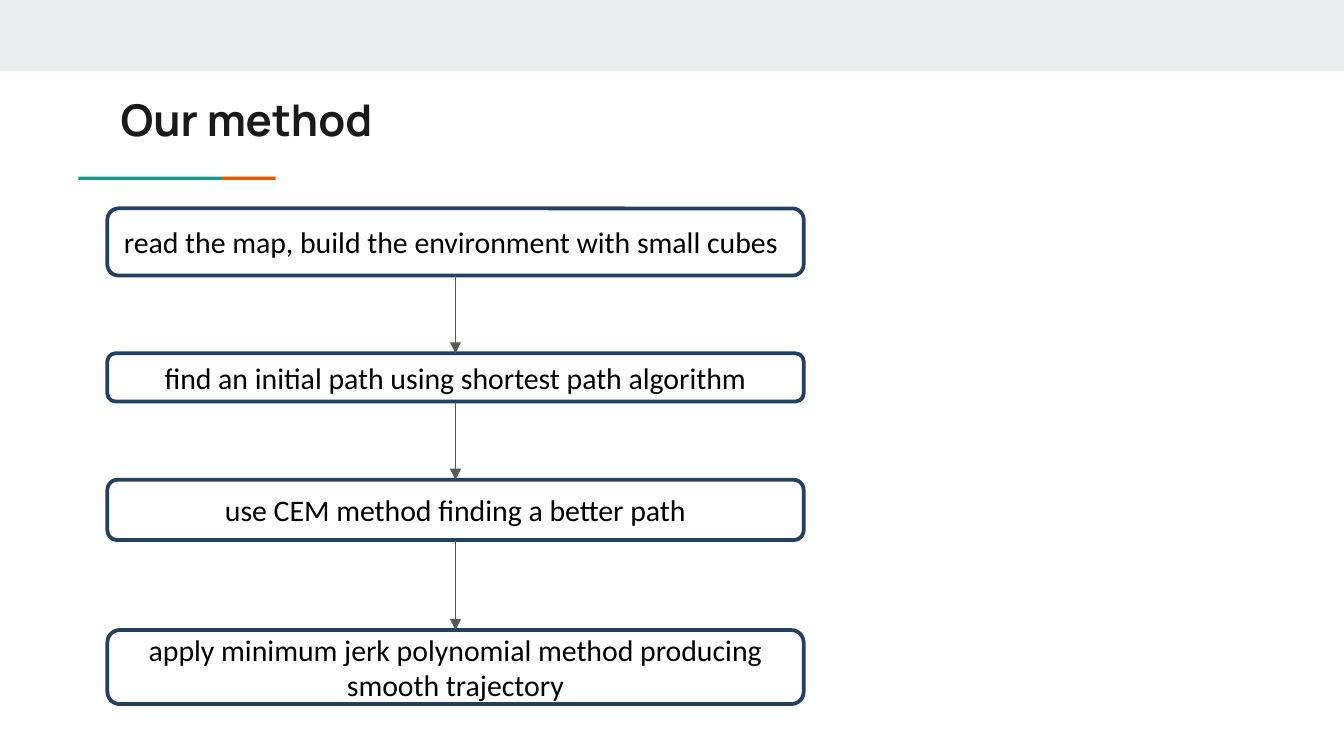
from itertools import pairwise

from lxml import etree
from pptx import Presentation
from pptx.dml.color import RGBColor
from pptx.enum.shapes import MSO_CONNECTOR, MSO_SHAPE
from pptx.enum.text import MSO_ANCHOR, PP_ALIGN
from pptx.oxml.ns import qn
from pptx.util import Cm, Pt

RECTANGLE = MSO_SHAPE.RECTANGLE
ROUNDED = MSO_SHAPE.ROUNDED_RECTANGLE
STRAIGHT = MSO_CONNECTOR.STRAIGHT
MIDDLE = MSO_ANCHOR.MIDDLE
LEFT, CENTER = PP_ALIGN.LEFT, PP_ALIGN.CENTER

BAND_GREY = RGBColor(0xE9, 0xED, 0xEE)
ORANGE = RGBColor(0xEB, 0x56, 0x00)
GREEN = RGBColor(0x1A, 0x99, 0x88)
INK = RGBColor(0x1A, 0x1A, 0x1A)
BLACK = RGBColor(0x00, 0x00, 0x00)
NAVY = RGBColor(0x24, 0x3F, 0x60)
ARROW_GREY = RGBColor(0x57, 0x57, 0x57)

SLIDE_WIDTH, SLIDE_HEIGHT = 25.4, 14.29
CONTENT_LEFT = 2.03
STEP_WIDTH = 13.16
TOP_SITE, BOTTOM_SITE = 0, 2

# text, top, height, alignment
STEPS = [
    ("read the map, build the environment with small cubes", 3.94, 1.27, LEFT),
    ("find an initial path using shortest path algorithm", 6.68, 0.91, CENTER),
    ("use CEM method finding a better path", 9.07, 1.14, CENTER),
    ("apply minimum jerk polynomial method producing smooth trajectory",
     11.91, 1.4, CENTER),
]


class MethodSlide:
    """Holds the style and the slide being filled; lengths are in cm."""

    title_font, title_size = "Manrope", Pt(23.4)
    step_font, step_size = "Calibri", Pt(16)

    def __init__(self, slide):
        self.slide = slide

    def add_bar(self, left, top, width, height, color):
        shape = self.slide.shapes.add_shape(
            RECTANGLE, Cm(left), Cm(top), Cm(width), Cm(height))
        shape.shadow.inherit = False
        shape.fill.solid()
        shape.fill.fore_color.rgb = color
        shape.line.fill.background()

    def add_text(self, frame, text, font, size, color, alignment, bold=False):
        frame.word_wrap = True
        frame.vertical_anchor = MIDDLE
        paragraph = frame.paragraphs[0]
        paragraph.alignment = alignment
        run = paragraph.add_run()
        run.text = text
        run.font.name = font
        run.font.size = size
        run.font.bold = bold
        run.font.color.rgb = color

    def add_title(self, text, top, width, height):
        box = self.slide.shapes.add_textbox(
            Cm(CONTENT_LEFT), Cm(top), Cm(width), Cm(height))
        self.add_text(box.text_frame, text, self.title_font, self.title_size,
                      INK, LEFT, bold=True)

    def add_step(self, text, top, height, alignment):
        shape = self.slide.shapes.add_shape(
            ROUNDED, Cm(CONTENT_LEFT), Cm(top), Cm(STEP_WIDTH), Cm(height))
        shape.shadow.inherit = False
        shape.fill.background()
        shape.line.color.rgb = NAVY
        shape.line.width = Pt(2)
        self.add_text(shape.text_frame, text, self.step_font, self.step_size,
                      BLACK, alignment)
        return shape

    def add_arrow(self, upper, lower):
        """Join the bottom of one step to the top of the next."""
        arrow = self.slide.shapes.add_connector(STRAIGHT, 0, 0, 0, 0)
        arrow.begin_connect(upper, BOTTOM_SITE)
        arrow.end_connect(lower, TOP_SITE)
        arrow.line.color.rgb = ARROW_GREY
        arrow.line.width = Pt(0.75)
        properties = arrow._element.spPr
        line = properties.find(qn("a:ln"))
        etree.SubElement(line, qn("a:tailEnd"), type="triangle")
        etree.SubElement(properties, qn("a:effectLst"))


def main():
    presentation = Presentation()
    presentation.slide_width = Cm(SLIDE_WIDTH)
    presentation.slide_height = Cm(SLIDE_HEIGHT)
    blank = presentation.slide_layouts[6]
    page = MethodSlide(presentation.slides.add_slide(blank))

    page.add_bar(0, 0, SLIDE_WIDTH, 1.35, BAND_GREY)
    page.add_bar(1.48, 3.34, 2.7, 0.06, GREEN)
    page.add_bar(4.18, 3.34, 1.03, 0.06, ORANGE)
    page.add_title("Our method", 1.5, 21.36, 1.5)

    steps = [page.add_step(*step) for step in STEPS]
    for upper, lower in pairwise(steps):
        page.add_arrow(upper, lower)

    presentation.save("out.pptx")


if __name__ == "__main__":
    main()
